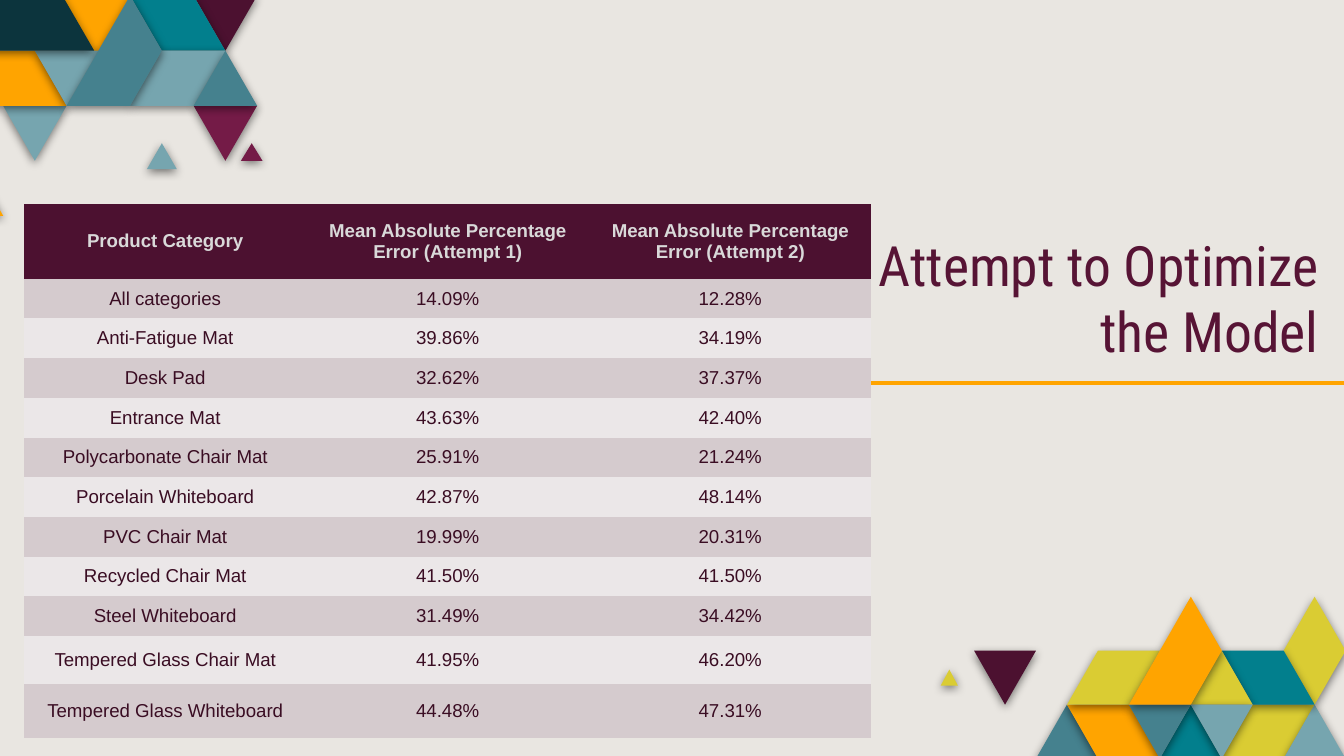
"""Build a slide with a table of model errors per product category and triangle mosaics in two corners."""
from lxml.etree import SubElement
from pptx import Presentation
from pptx.dml.color import RGBColor
from pptx.enum.shapes import MSO_CONNECTOR
from pptx.enum.text import MSO_ANCHOR, MSO_AUTO_SIZE, PP_ALIGN
from pptx.oxml.ns import qn
from pptx.util import Cm, Pt

COLORS = {
    "background": "E9E6E1", "title": "571435", "orange": "FFA400", "lime": "DACC33",
    "slate": "45818E", "mist": "76A5AF", "teal": "027F8D", "night": "0C343D",
    "plum": "4C1130", "berry": "741B47", "header_text": "D9D9D9",
    "body_text": "3A0D23", "odd_row": "D5CBCE", "even_row": "EBE7E8",
}
NO_STYLE = "{2D5ABB26-0587-4C30-8999-92F81FD0307C}"


def rgb(name):
    return RGBColor.from_string(COLORS[name])


def add_shadow(shape):
    effects = SubElement(shape.element.spPr, qn("a:effectLst"))
    shadow = SubElement(effects, qn("a:outerShdw"), blurRad=str(Pt(5)), dist=str(Pt(1.5)),
                        dir="5400000", algn="bl", rotWithShape="0")
    color = SubElement(shadow, qn("a:srgbClr"), val="000000")
    SubElement(color, qn("a:alpha"), val="50000")


prs = Presentation()
prs.slide_width, prs.slide_height = Cm(25.4), Cm(14.29)
s = prs.slides.add_slide(prs.slide_layouts[5])
s.background.fill.solid()
s.background.fill.fore_color.rgb = rgb("background")

bottom_tiles = [
    ("slate", [(0, 3), (1, 2), (2, 3)]),
    ("orange", [(1, 2), (3, 2), (4, 3), (2, 3)]),
    ("lime", [(6, 3), (7, 2), (9, 2), (8, 3)]),
    ("mist", [(8, 3), (9, 2), (10, 3)]),
    ("teal", [(4, 3), (5, 2), (6, 3)]),
    ("lime", [(1, 2), (2, 1), (4, 1), (3, 2)]),
    ("lime", [(-3.08, 1.65), (-2.8, 1.35), (-2.52, 1.65)]),
    ("plum", [(-2, 1), (0, 1), (-1, 2)]),
    ("lime", [(8, 1), (9, 0), (10, 1), (9, 2)]),
    ("teal", [(6, 1), (8, 1), (9, 2), (7, 2)]),
    ("lime", [(5, 2), (6, 1), (7, 2)]),
    ("mist", [(5, 2), (7, 2), (6, 3)]),
    ("slate", [(3, 2), (5, 2), (4, 3)]),
    ("orange", [(3, 2), (5, 0), (6, 1), (5, 2)]),
]
top_tiles = [
    ("orange", [(3.85, 0), (6, 0), (4.93, 1.07)]),
    ("plum", [(8, 0), (10, 0), (9, 1)]),
    ("teal", [(6, 0), (8, 0), (9, 1), (7, 1)]),
    ("berry", [(8, 2), (10, 2), (9, 3)]),
    ("mist", [(6.53, 3.15), (7, 2.68), (7.47, 3.15)]),
    ("berry", [(9.49, 3), (9.83, 2.68), (10.17, 3)]),
    ("mist", [(7, 1), (9, 1), (8, 2), (6, 2)]),
    ("slate", [(8, 2), (9, 1), (10, 2)]),
    ("mist", [(2, 2), (4, 2), (3, 3)]),
    ("orange", [(0, 4), (1, 3), (2, 4)]),
    ("orange", [(0, 2), (1, 1), (3, 1), (4, 2)]),
    ("mist", [(3, 1), (5, 1), (4, 2)]),
    ("night", [(0.85, 1), (1.87, 0), (3.87, 0), (4.87, 1)]),
    ("slate", [(4, 2), (6, 0), (7, 1), (6, 2)]),
]
mosaics = [(bottom_tiles, 19.58, 11.28, 1.17, 1.02), (top_tiles, -1.14, -0.08, 1.2, 1.04)]
for tiles, left, top, side, height in mosaics:
    group = s.shapes.add_group_shape()
    for color, corners in tiles:
        points = [(Cm(left + x * side / 2), Cm(top + y * height)) for x, y in corners]
        builder = group.shapes.build_freeform(*points[0])
        builder.add_line_segments(points[1:], close=True)
        tile = builder.convert_to_shape()
        tile.fill.solid()
        tile.fill.fore_color.rgb = rgb(color)
        tile.line.fill.background()
        add_shadow(tile)

rule = s.shapes.add_connector(MSO_CONNECTOR.STRAIGHT, Cm(14.22), Cm(7.24), Cm(25.4), Cm(7.24))
rule.line.color.rgb = rgb("orange")
rule.line.width = Pt(2.25)
SubElement(rule.element.spPr, qn("a:effectLst"))

title = s.shapes.title
title.left, title.top, title.width, title.height = Cm(15.54), Cm(3.78), Cm(9.63), Cm(3.35)
tf = title.text_frame
tf.text = "Attempt to Optimize the Model"
tf.word_wrap = True
tf.auto_size = MSO_AUTO_SIZE.NONE
tf.vertical_anchor = MSO_ANCHOR.BOTTOM
tf.margin_left = tf.margin_right = tf.margin_top = tf.margin_bottom = Cm(0.25)
p = tf.paragraphs[0]
p.alignment = PP_ALIGN.RIGHT
r = p.runs[0]
r.font.name, r.font.size = "Roboto Condensed", Pt(29.8)
r.font.color.rgb = rgb("title")

rows = [
    ("Product Category", "Mean Absolute Percentage Error (Attempt 1)",
     "Mean Absolute Percentage Error (Attempt 2)"),
    ("All categories", "14.09%", "12.28%"),
    ("Anti-Fatigue Mat", "39.86%", "34.19%"),
    ("Desk Pad", "32.62%", "37.37%"),
    ("Entrance Mat", "43.63%", "42.40%"),
    ("Polycarbonate Chair Mat", "25.91%", "21.24%"),
    ("Porcelain Whiteboard", "42.87%", "48.14%"),
    ("PVC Chair Mat", "19.99%", "20.31%"),
    ("Recycled Chair Mat", "41.50%", "41.50%"),
    ("Steel Whiteboard", "31.49%", "34.42%"),
    ("Tempered Glass Chair Mat", "41.95%", "46.20%"),
    ("Tempered Glass Whiteboard", "44.48%", "47.31%"),
]
heights = [1.41] + [0.75] * 9 + [0.9, 1.03]
frame = s.shapes.add_table(len(rows), 3, Cm(0.45), Cm(3.86), Cm(16.02), Cm(sum(heights)))
frame.element.find(".//" + qn("a:tableStyleId")).text = NO_STYLE
table = frame.table
for i, (values, height) in enumerate(zip(rows, heights)):
    table.rows[i].height = Cm(height)
    fill = "plum" if i == 0 else "odd_row" if i % 2 else "even_row"
    for cell, value in zip(table.rows[i].cells, values):
        cell.text = value
        cell.fill.solid()
        cell.fill.fore_color.rgb = rgb(fill)
        cell.vertical_anchor = MSO_ANCHOR.MIDDLE
        cell.margin_left = cell.margin_right = cell.margin_top = cell.margin_bottom = Cm(0.13)
        p = cell.text_frame.paragraphs[0]
        p.alignment = PP_ALIGN.CENTER
        r = p.runs[0]
        r.font.name, r.font.size, r.font.bold = "Arial", Pt(10), i == 0
        r.font.color.rgb = rgb("body_text" if i else "header_text")

prs.save("out.pptx")
